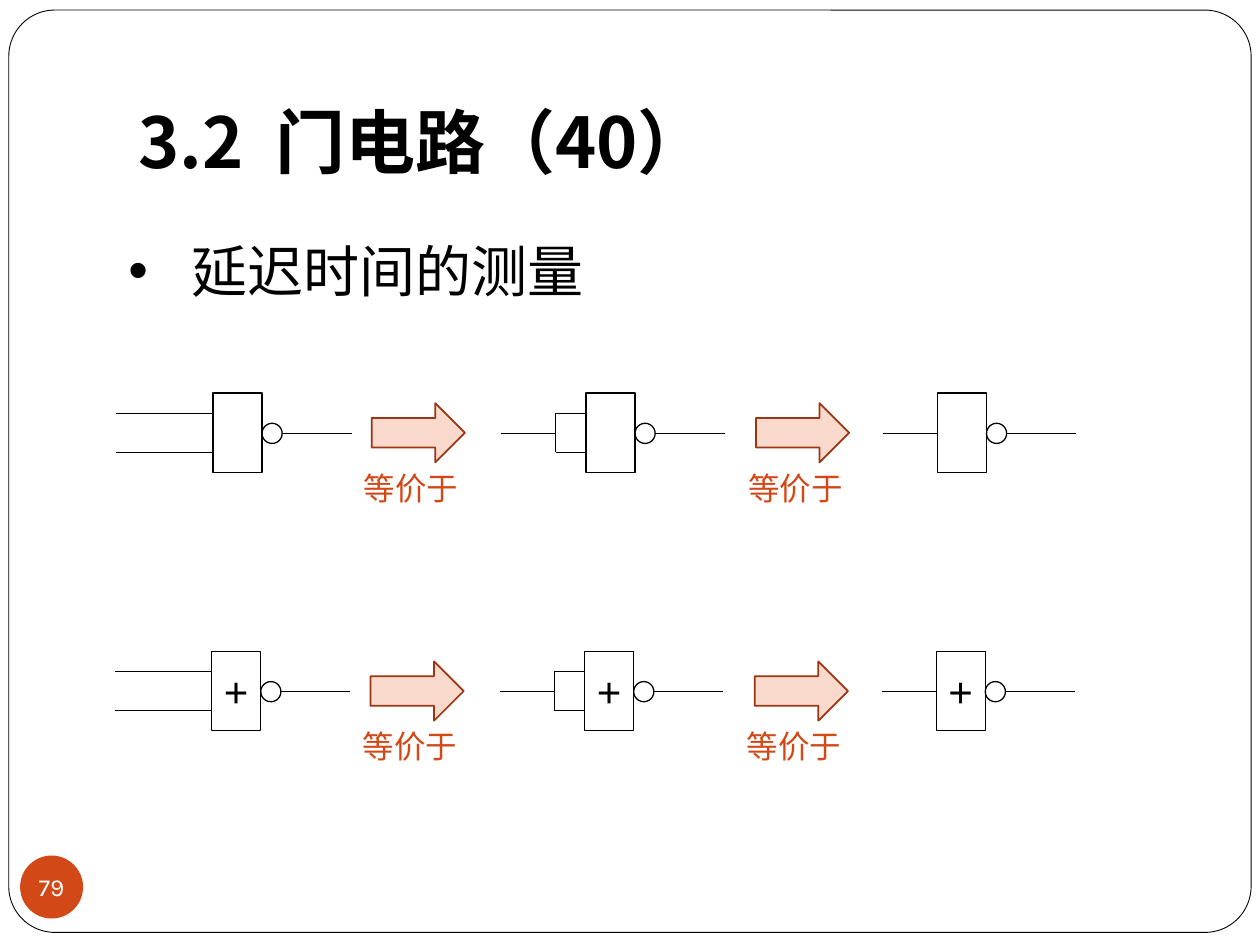
from pptx import Presentation
from pptx import util as u
from pptx.dml.color import RGBColor
from pptx.enum import shapes, text
from pptx.oxml.ns import qn
from lxml import etree

COLORS = {"ink": "000000", "paper": "FFFFFF", "accent": "D34817",
          "arrow": "FAD9CD", "arrow_edge": "9C3511"}
CJK = "Noto Sans CJK JP"


def write(frame, content, size, font, color="ink", bold=False, align=None,
          anchor=text.MSO_ANCHOR.TOP, wrap=False, margins=(0.1, 0.05, 0.1, 0.05),
          bullet=None, indent=0.5, before=None):
    frame.word_wrap = wrap
    frame.vertical_anchor = anchor
    (frame.margin_left, frame.margin_top,
     frame.margin_right, frame.margin_bottom) = map(u.Inches, margins)
    paragraph = frame.paragraphs[0]
    paragraph.alignment = align
    if bullet:
        properties = paragraph._p.get_or_add_pPr()
        properties.set("marL", str(u.Inches(indent)))
        properties.set("indent", str(-u.Inches(indent)))
        etree.SubElement(properties, qn("a:buFont")).set("typeface", "Arial")
        etree.SubElement(properties, qn("a:buChar")).set("char", bullet)
    run = paragraph.add_run()
    run.text = content
    run.font.size = u.Pt(size)
    run.font.bold = bold
    run.font.name = font
    run.font.color.rgb = RGBColor.from_string(COLORS[color])
    east_asian = etree.Element(qn("a:ea"))
    east_asian.set("typeface", CJK)
    run.font._element.find(qn("a:latin")).addnext(east_asian)


class Sketch:
    def __init__(self, slide, line_width=0.75):
        self.slide = slide
        self.line_width = line_width

    def shape(self, kind, left, top, width, height, fill=None, edge="ink", weight=None):
        item = self.slide.shapes.add_shape(kind, *map(u.Inches, (left, top, width, height)))
        item.shadow.inherit = False
        if fill:
            item.fill.solid()
            item.fill.fore_color.rgb = RGBColor.from_string(COLORS[fill])
        else:
            item.fill.background()
        if edge:
            item.line.color.rgb = RGBColor.from_string(COLORS[edge])
            item.line.width = u.Pt(weight or self.line_width)
        else:
            item.line.fill.background()
        return item

    def wire(self, x1, y1, x2, y2):
        wire = self.slide.shapes.add_connector(
            shapes.MSO_CONNECTOR.STRAIGHT, *map(u.Inches, (x1, y1, x2, y2)))
        wire.line.color.rgb = RGBColor.from_string(COLORS["ink"])
        wire.line.width = u.Pt(self.line_width)
        etree.SubElement(wire._element.spPr, qn("a:effectLst"))

    def label(self, left, top, width, height, content, **style):
        box = self.slide.shapes.add_textbox(*map(u.Inches, (left, top, width, height)))
        write(box.text_frame, content, **style)

    def gate(self, left, top, symbol, inputs):
        body = self.shape(shapes.MSO_SHAPE.RECTANGLE, left, top, 0.39, 0.63)
        if symbol:
            write(body.text_frame, symbol, size=24, font="Arial",
                  align=text.PP_ALIGN.CENTER, anchor=text.MSO_ANCHOR.MIDDLE)
        self.shape(shapes.MSO_SHAPE.OVAL, left + 0.39, top + 0.24, 0.16, 0.16)
        upper, middle, lower = top + 0.16, top + 0.32, top + 0.47
        self.wire(left + 0.55, middle, left + 1.1, middle)
        if inputs == "single":
            self.wire(left, middle, left - 0.43, middle)
            return
        reach = left - (0.77 if inputs == "pair" else 0.24)
        for level in (upper, lower):
            self.wire(left, level, reach, level)
        if inputs == "joined":
            self.wire(reach, upper, reach, lower)
            self.wire(reach, middle, reach - 0.43, middle)

    def equivalence(self, left, top):
        self.shape(shapes.MSO_SHAPE.RIGHT_ARROW, left, top, 0.74, 0.47,
                   fill="arrow", edge="arrow_edge", weight=1)
        self.label(left - 0.16, top + 0.47, 0.96, 0.4, "等价于",
                   size=18, font="Times New Roman", color="accent")

    def gate_row(self, left, top, symbol=None):
        for offset, inputs in ((0.77, "pair"), (3.73, "joined"), (6.52, "single")):
            self.gate(left + offset, top, symbol, inputs)
        for offset in (2.03, 5.08):
            self.equivalence(left + offset, top + 0.08)


def main():
    deck = Presentation()
    deck.slide_width, deck.slide_height = u.Inches(10), u.Inches(7.5)
    sketch = Sketch(deck.slides.add_slide(deck.slide_layouts[6]))

    border = sketch.shape(shapes.MSO_SHAPE.ROUNDED_RECTANGLE, 0.07, 0.08, 9.86, 7.32,
                          fill="paper", weight=0.5)
    border.adjustments[0] = 0.05
    page_number = sketch.shape(shapes.MSO_SHAPE.OVAL, 0.16, 6.79, 0.5, 0.5,
                               fill="accent", edge=None)
    write(page_number.text_frame, "79", size=14, font="Karla", color="paper",
          align=text.PP_ALIGN.CENTER, anchor=text.MSO_ANCHOR.MIDDLE, margins=(0, 0, 0, 0))

    sketch.label(1, 0.3, 8.5, 1.25, "3.2  门电路（40）", size=40, font=CJK, bold=True,
                 anchor=text.MSO_ANCHOR.BOTTOM, wrap=True, margins=(0.1, 0.05, 0.1, 0.1))
    sketch.label(0.92, 1.83, 4.49, 0.83, "延迟时间的测量", size=32, font=CJK,
                 wrap=True, bullet="•")

    sketch.gate_row(0.92, 3.12)
    sketch.gate_row(0.91, 5.17, symbol="+")
    deck.save("out.pptx")


if __name__ == "__main__":
    main()
